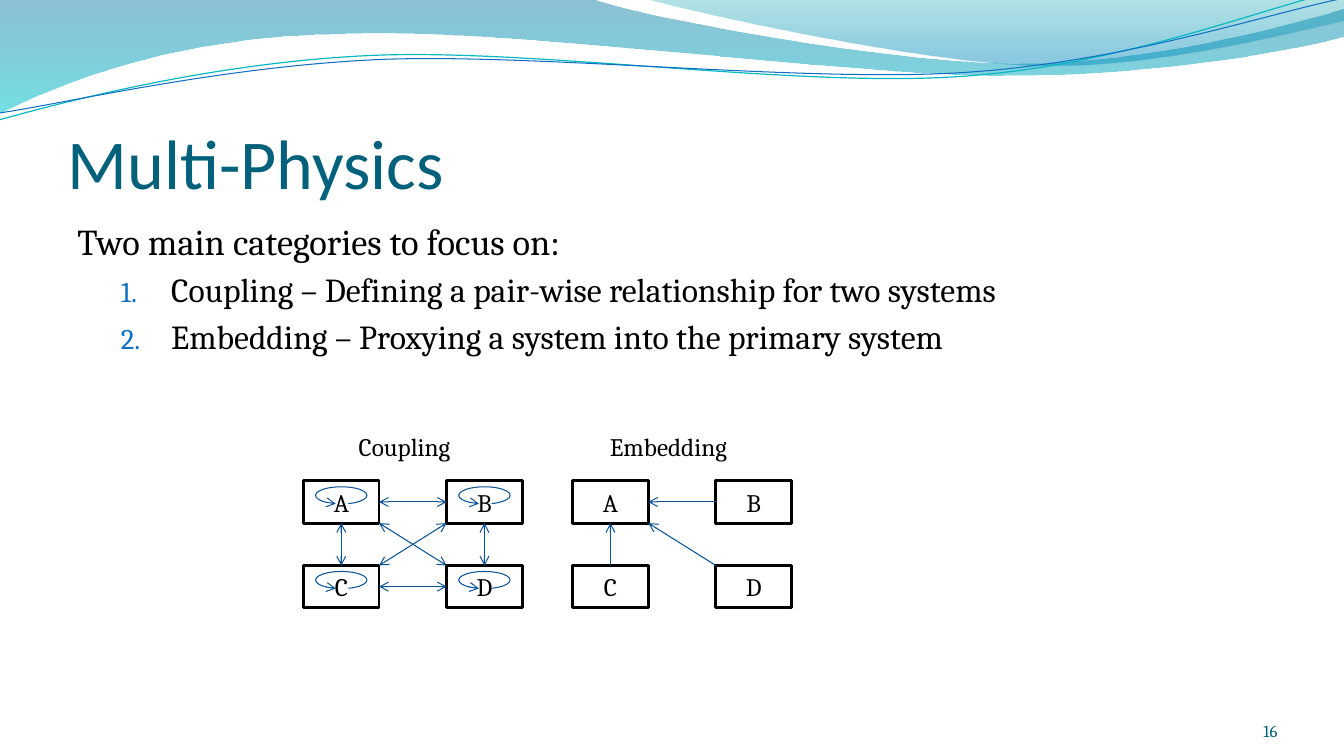
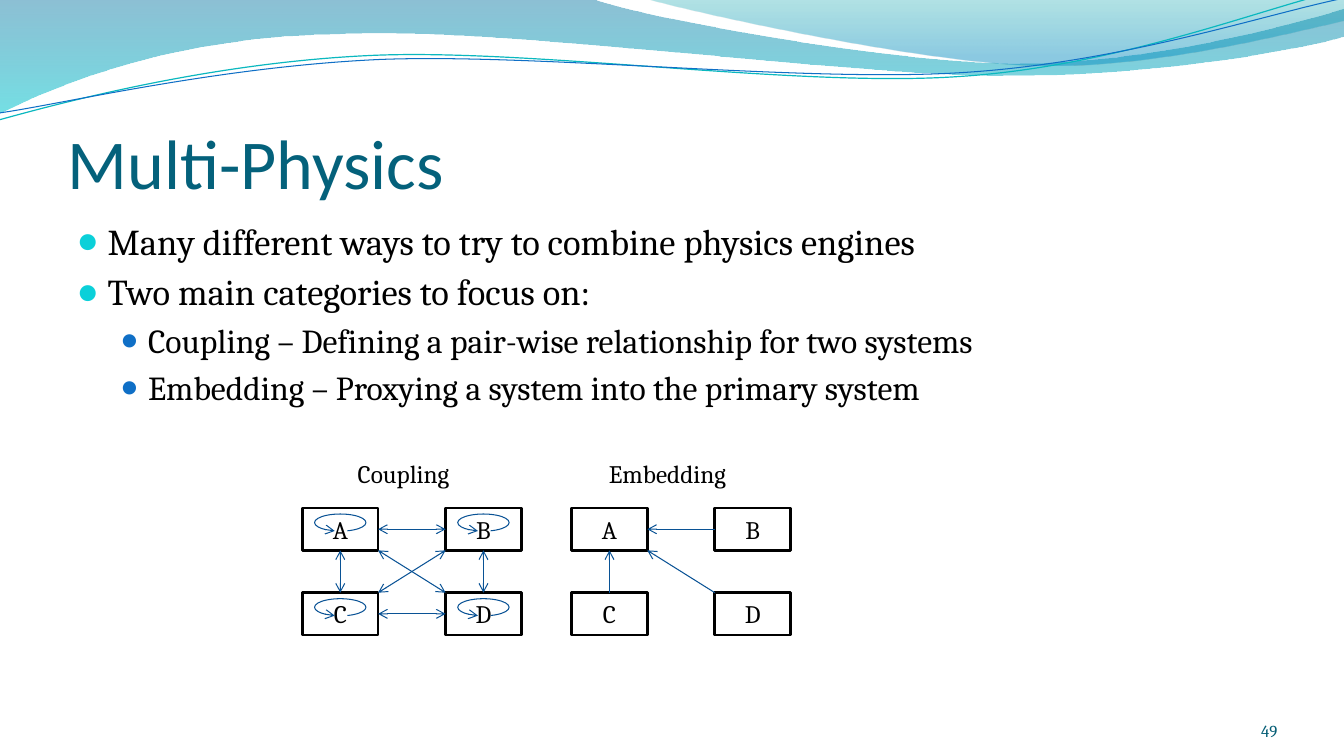
from dataclasses import dataclass
from math import cos, radians, sin
from typing import NamedTuple

from lxml.etree import SubElement
from pptx import Presentation
from pptx.dml.color import RGBColor
from pptx.enum.shapes import MSO_CONNECTOR, MSO_SHAPE
from pptx.enum.text import MSO_ANCHOR, MSO_AUTO_SIZE, PP_ALIGN
from pptx.oxml.ns import qn
from pptx.util import Inches, Pt


@dataclass(frozen=True)
class Theme:
    title_font: str = "Calibri"
    body_font: str = "Cambria"
    title: str = "04617B"
    text: str = "000000"
    number: str = "045D75"
    arrow: str = "095295"
    bullet: str = "0BD0D9"
    sub_bullet: str = "0F6FC6"
    title_size: float = 50
    body_size: float = 26
    sub_size: float = 24
    diagram_size: float = 18
    number_size: float = 12
    box_line: float = 2
    arrow_line: float = 0.75


THEME = Theme()


class Point(NamedTuple):
    x: float
    y: float


class Stop(NamedTuple):
    position: float
    color: str
    opacity: int


@dataclass(frozen=True)
class Wave:
    start: Point
    segments: tuple[tuple[float, ...], ...]
    stops: tuple[Stop, ...] = ()
    line: str = ""
    weight: float = 0
    pivot: Point = Point(0, 0)
    tilt: float = 0


class Item(NamedTuple):
    text: str
    level: int = 0
    margin: float = 0.3
    indent: float = -0.3
    bullet: str = ""


class Link(NamedTuple):
    start: str
    start_at: Point
    end: str
    end_at: Point


class Network(NamedTuple):
    label: str
    offset: float
    label_offset: float
    label_width: float
    links: tuple[Link, ...]
    mutual: bool


class Page(NamedTuple):
    number: str
    items: tuple[Item, ...]
    diagram: Point


WAVES = (
    Wave(Point(0, 0), (
        (5.87, -0.01),
        (6.34, 0.17, 8.85, 0.63, 10.11, 0.63),
        (11.38, 0.63, 12.78, 0.26, 13.33, 0.09),
        (13.35, 0.36),
        (13.11, 0.44, 11.6, 0.76, 9.94, 0.75),
        (8.29, 0.75, 5.09, 0.28, 3.43, 0.34),
        (1.72, 0.36, 0.61, 0.83, -0.01, 1.13),
    ), stops=(Stop(0, "0074A1", 45), Stop(1, "00C6CF", 55))),
    Wave(Point(6.39, -0.01), (
        (6.79, 0.11, 9.09, 0.62, 10.25, 0.65),
        (11.41, 0.69, 12.82, 0.32, 13.33, 0.21),
        (13.33, 0),
    ), stops=(Stop(0, "00A1A9", 30), Stop(0.8, "008BBF", 45))),
    Wave(Point(-0.01, 1.19), (
        (0.64, 1.01, 2.11, 0.62, 3.69, 0.55),
        (5.27, 0.48, 7.9, 0.87, 9.5, 0.76),
        (11.1, 0.66, 12.52, 0.08, 13.31, -0.1),
    ), line="0AB8BF", weight=0.85, pivot=Point(6.65, 0.57), tilt=-2.7),
    Wave(Point(0, 1.12), (
        (0.63, 1.03, 2.18, 0.66, 3.78, 0.59),
        (5.37, 0.53, 7.96, 0.82, 9.55, 0.72),
        (11.15, 0.62, 12.55, 0.14, 13.34, -0.02),
    ), line="0F6FC6", weight=0.75, pivot=Point(6.67, 0.59), tilt=-2.7),
)

BOX = Point(0.75, 0.42)
PITCH = Point(1.42, 0.84)
LOOP = Point(0.51, 0.17)
LOOP_OFFSET = Point(0.12, 0.06)
LOOP_ENDS = (73.98, 29.33)
LABEL_RISE = 0.54
CELLS = {"A": (0, 0), "B": (1, 0), "C": (0, 1), "D": (1, 1)}

TOP, BOTTOM, LEFT, RIGHT = Point(0.5, 0), Point(0.5, 1), Point(0, 0.5), Point(1, 0.5)
TOP_LEFT, TOP_RIGHT = Point(0, 0), Point(1, 0)
BOTTOM_LEFT, BOTTOM_RIGHT = Point(0, 1), Point(1, 1)

NETWORKS = (
    Network("Coupling", 0, 0.45, 1.43, (
        Link("C", TOP, "A", BOTTOM),
        Link("A", RIGHT, "B", LEFT),
        Link("B", BOTTOM, "D", TOP),
        Link("C", RIGHT, "D", LEFT),
        Link("A", BOTTOM_RIGHT, "D", TOP_LEFT),
        Link("C", TOP_RIGHT, "B", BOTTOM_LEFT),
    ), True),
    Network("Embedding", 2.67, 0.27, 1.61, (
        Link("D", TOP_LEFT, "A", BOTTOM_RIGHT),
        Link("C", TOP, "A", BOTTOM),
        Link("B", LEFT, "A", RIGHT),
    ), False),
)

FOCUS = "Two main categories to focus on:"
CATEGORIES = (
    "Coupling – Defining a pair-wise relationship for two systems",
    "Embedding – Proxying a system into the primary system",
)
NUMBERED = tuple(Item(text, 1, 0.93, -0.5, "1.") for text in CATEGORIES)
BULLETED = tuple(Item(text, 1, 0.7, -0.27, "●") for text in CATEGORIES)
WAYS = Item("Many different ways to try to combine physics engines", bullet="●")
PAGES = (
    Page("16", (Item(FOCUS), *NUMBERED), Point(3.01, 4.77)),
    Page("49", (WAYS, Item(FOCUS, bullet="●"), *BULLETED), Point(3, 5.04)),
)


def set_font(paragraph, size: float, color: str = THEME.text, name: str = THEME.body_font) -> None:
    font = paragraph.font
    font.name, font.size = name, Pt(size)
    font.color.rgb = RGBColor.from_string(color)


def set_line(shape, color: str, weight: float) -> None:
    shape.line.color.rgb = RGBColor.from_string(color)
    shape.line.width = Pt(weight)


def add_arrowheads(shape, *ends: str) -> None:
    line = shape.element.spPr.get_or_add_ln()
    for end in ends:
        SubElement(line, qn(f"a:{end}"), type="arrow")


def level_point(wave: Wave, x: float, y: float) -> tuple[int, int]:
    turn, dx, dy = radians(-wave.tilt), x - wave.pivot.x, y - wave.pivot.y
    return (Inches(wave.pivot.x + dx * cos(turn) - dy * sin(turn)),
            Inches(wave.pivot.y + dx * sin(turn) + dy * cos(turn)))


def bend_segments(ribbon, segments: tuple[tuple[float, ...], ...]) -> None:
    outline = ribbon.element.spPr.find(".//" + qn("a:path"))
    steps = iter(outline.findall(qn("a:lnTo")))
    for segment in segments:
        nodes = [next(steps) for _ in segment[::2]]
        if len(nodes) == 3:
            curve = outline.makeelement(qn("a:cubicBezTo"))
            nodes[0].addprevious(curve)
            for node in nodes:
                curve.append(node[0])
                outline.remove(node)


def draw_wave(shapes, wave: Wave):
    points = [level_point(wave, x, y) for segment in wave.segments
              for x, y in zip(segment[::2], segment[1::2])]
    builder = shapes.build_freeform(*level_point(wave, *wave.start))
    builder.add_line_segments(points, close=bool(wave.stops))
    ribbon = builder.convert_to_shape()
    bend_segments(ribbon, wave.segments)
    ribbon.rotation = wave.tilt
    ribbon.shadow.inherit = False
    if wave.line:
        ribbon.fill.background()
        set_line(ribbon, wave.line, wave.weight)
        return ribbon
    ribbon.line.fill.background()
    ribbon.fill.gradient()
    ribbon.fill.gradient_angle = 270
    for target, stop in zip(ribbon.fill.gradient_stops, wave.stops):
        target.color.rgb = RGBColor.from_string(stop.color)
        target.position = stop.position
    for tint, stop in zip(ribbon.element.spPr.iter(qn("a:srgbClr")), wave.stops):
        SubElement(tint, qn("a:alpha"), val=str(stop.opacity * 1000))
    return ribbon


def move_waves_to_layout(slide) -> None:
    for position, wave in enumerate(WAVES, start=2):
        ribbon = draw_wave(slide.shapes, wave)
        slide.slide_layout.shapes.element.insert(position, ribbon.element)


def add_text(shapes, x: float, y: float, width: float, height: float):
    frame = shapes.add_textbox(*map(Inches, (x, y, width, height))).text_frame
    frame.word_wrap = True
    return frame


def format_title(slide) -> None:
    title = slide.shapes.title
    title.left, title.top, title.width, title.height = map(Inches, (0.67, 0.77, 12, 1.25))
    frame = title.text_frame
    frame.text = "Multi-Physics"
    frame.auto_size = MSO_AUTO_SIZE.NONE
    frame.vertical_anchor = MSO_ANCHOR.BOTTOM
    frame.margin_left = frame.margin_right = frame.margin_bottom = 0
    frame.margin_top = Inches(0.05)
    frame.paragraphs[0].alignment = PP_ALIGN.LEFT
    set_font(frame.paragraphs[0], THEME.title_size, THEME.title, THEME.title_font)


def set_bullet(paragraph, item: Item) -> None:
    props = paragraph._p.get_or_add_pPr()
    props.set("marL", str(Inches(item.margin)))
    props.set("indent", str(Inches(item.indent)))
    if not item.bullet:
        SubElement(props, qn("a:buNone"))
        return
    color = THEME.sub_bullet if item.level else THEME.bullet
    SubElement(SubElement(props, qn("a:buClr")), qn("a:srgbClr"), val=color)
    SubElement(props, qn("a:buSzPct"), val="85000" if item.level else "95000")
    SubElement(props, qn("a:buFont"), typeface=THEME.title_font)
    if item.bullet == "1.":
        SubElement(props, qn("a:buAutoNum"), type="arabicPeriod")
    else:
        SubElement(props, qn("a:buChar"), char=item.bullet)


def draw_items(slide, items: tuple[Item, ...]) -> None:
    frame = add_text(slide.shapes, 0.67, 2.12, 12, 4.8)
    for index, item in enumerate(items):
        paragraph = frame.add_paragraph() if index else frame.paragraphs[0]
        paragraph.text, paragraph.level = item.text, item.level
        set_bullet(paragraph, item)
        size = THEME.sub_size if item.level else THEME.body_size
        paragraph.space_before = Pt(size * 0.2)
        set_font(paragraph, size)


def draw_system(shapes, name: str, corner: Point) -> None:
    system = shapes.add_shape(MSO_SHAPE.RECTANGLE, *map(Inches, (*corner, *BOX)))
    system.shadow.inherit = False
    system.fill.background()
    set_line(system, THEME.text, THEME.box_line)
    system.text_frame.text = name
    system.text_frame.vertical_anchor = MSO_ANCHOR.MIDDLE
    system.text_frame.paragraphs[0].alignment = PP_ALIGN.CENTER
    set_font(system.text_frame.paragraphs[0], THEME.diagram_size)


def draw_loop(shapes, corner: Point) -> None:
    place = (corner.x + LOOP_OFFSET.x, corner.y + LOOP_OFFSET.y, *LOOP)
    loop = shapes.add_shape(MSO_SHAPE.ARC, *map(Inches, place))
    loop.adjustments[0], loop.adjustments[1] = LOOP_ENDS
    loop.shadow.inherit = False
    loop.fill.background()
    set_line(loop, THEME.arrow, THEME.arrow_line)
    add_arrowheads(loop, "headEnd")


def draw_link(shapes, link: Link, corners: dict[str, Point], mutual: bool) -> None:
    ends = [Inches(value) for name, at in ((link.start, link.start_at), (link.end, link.end_at))
            for value in (corners[name].x + at.x * BOX.x, corners[name].y + at.y * BOX.y)]
    arrow = shapes.add_connector(MSO_CONNECTOR.STRAIGHT, *ends)
    set_line(arrow, THEME.arrow, THEME.arrow_line)
    add_arrowheads(arrow, *(("headEnd", "tailEnd") if mutual else ("tailEnd",)))
    SubElement(arrow.element.spPr, qn("a:effectLst"))


def draw_network(shapes, network: Network, origin: Point) -> None:
    x = origin.x + network.offset
    label = add_text(shapes, x + network.label_offset, origin.y - LABEL_RISE, network.label_width, 0.4)
    label.text = network.label
    set_font(label.paragraphs[0], THEME.diagram_size)
    corners = {name: Point(x + column * PITCH.x, origin.y + row * PITCH.y)
               for name, (column, row) in CELLS.items()}
    for name, corner in corners.items():
        draw_system(shapes, name, corner)
    for link in network.links:
        draw_link(shapes, link, corners, network.mutual)
    for corner in corners.values() if network.mutual else ():
        draw_loop(shapes, corner)


def draw_number(slide, number: str) -> None:
    frame = add_text(slide.shapes, 11.56, 6.95, 1.11, 0.4)
    frame.margin_left = frame.margin_right = frame.margin_top = frame.margin_bottom = 0
    frame.vertical_anchor = MSO_ANCHOR.BOTTOM
    frame.text = number
    frame.paragraphs[0].alignment = PP_ALIGN.RIGHT
    set_font(frame.paragraphs[0], THEME.number_size, THEME.number)


deck = Presentation()
deck.slide_width, deck.slide_height = Inches(13.33), Inches(7.5)
for page in PAGES:
    slide = deck.slides.add_slide(deck.slide_layouts[5])
    if page is PAGES[0]:
        move_waves_to_layout(slide)
    format_title(slide)
    draw_items(slide, page.items)
    diagram = slide.shapes.add_group_shape().shapes
    for network in NETWORKS:
        draw_network(diagram, network, page.diagram)
    draw_number(slide, page.number)
deck.save("out.pptx")
